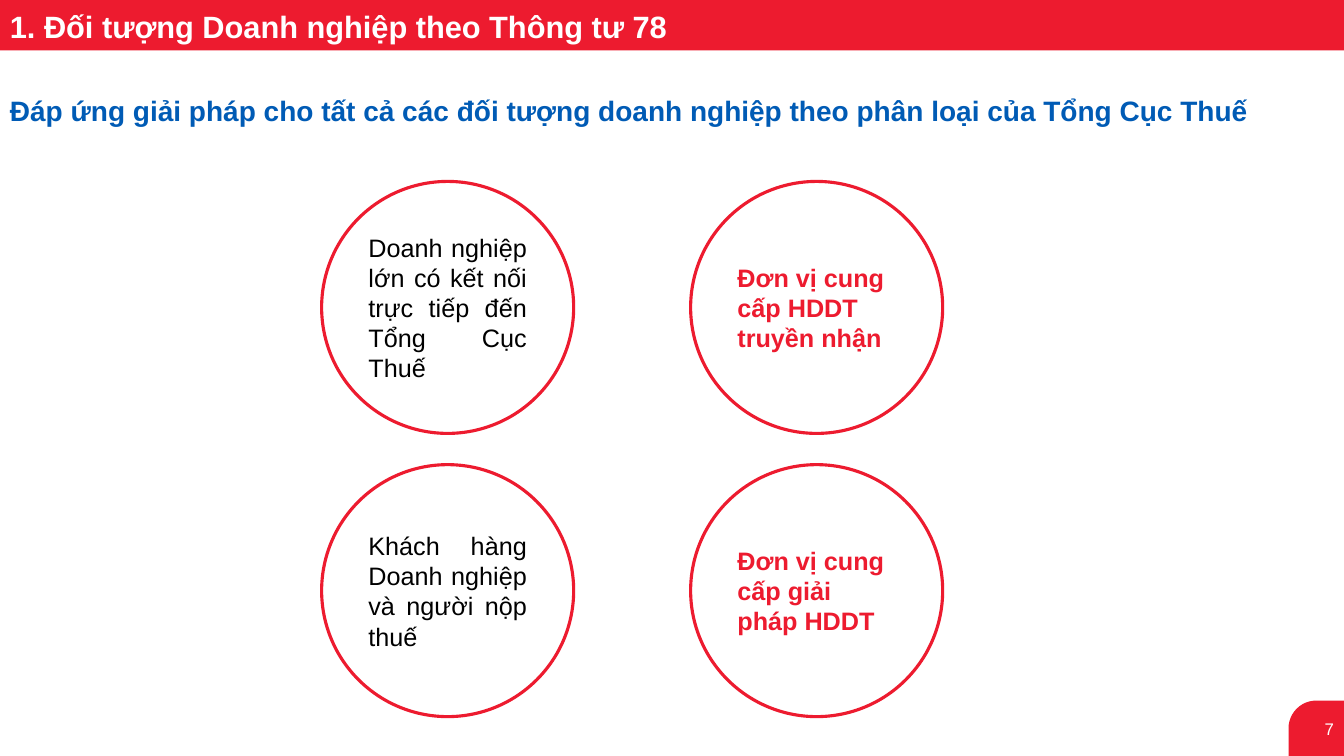
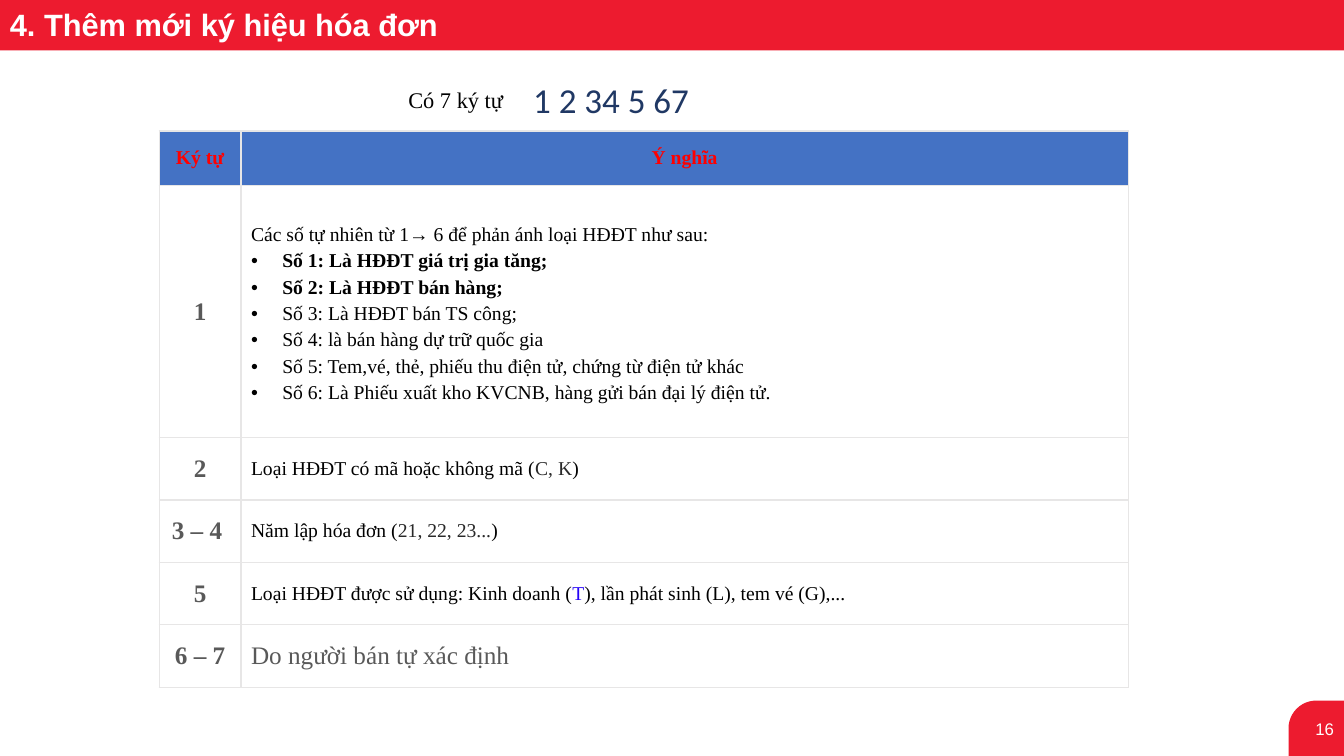
import pptx
import pptx.util
import pptx.dml.color
import pptx.enum.shapes
import pptx.enum.text
import lxml.etree

# Content
PAGES = [
    {"title": "1. Đối tượng Doanh nghiệp theo Thông tư 78", "top": 3, "page": "7"},
    {"title": "4. Thêm mới ký hiệu hóa đơn", "top": 1, "page": "16"},
]
LEAD = "Đáp ứng giải pháp cho tất cả các đối tượng doanh nghiệp theo phân loại của Tổng Cục Thuế"
GROUPS = [  # rows of circles: customers left, providers right
    ("Doanh nghiệp lớn có kết nối trực tiếp đến Tổng Cục Thuế",
     "Đơn vị cung cấp HDDT truyền nhận"),
    ("Khách hàng Doanh nghiệp và người nộp thuế",
     "Đơn vị cung cấp giải pháp HDDT"),
]
COUNT, CODE = "Có 7 ký tự", "1 2 34 5 67"
HEADS = ("Ký tự", "Ý nghĩa")
INTRO = "Các số tự nhiên từ 1→ 6 để phản ánh loại HĐĐT như sau:"
KINDS = [  # text, bold
    ("Số 1: Là HĐĐT giá trị gia tăng;", True),
    ("Số 2: Là HĐĐT bán hàng;", True),
    ("Số 3: Là HĐĐT bán TS công;", False),
    ("Số 4: là bán hàng dự trữ quốc gia", False),
    ("Số 5: Tem,vé, thẻ, phiếu thu điện tử, chứng từ điện tử khác", False),
    ("Số 6: Là Phiếu xuất kho KVCNB, hàng gửi bán đại lý điện tử.", False),
]
RED, BLUE, WHITE, BLACK = "ED1B2F", "005BB5", "FFFFFF", "000000"
GRAY, DARK, HEAD, EDGE = "595959", "292929", "4472C4", "E7E6E6"
SERIF = "Times New Roman"
RULES = [  # key, runs of (text, colour), size
    ("2", [("Loại HĐĐT có mã hoặc không mã (", BLACK), ("C, K", DARK), (")", BLACK)], 14),
    ("3 – 4 ", [("Năm lập hóa đơn (", BLACK), ("21, 22, 23...", DARK), (")", BLACK)], 14),
    ("5", [("Loại HĐĐT được sử dụng: Kinh doanh (", BLACK), ("T", "2603F7"),
           ("), lần phát sinh (L), tem vé (G),...", BLACK)], 14),
    ("6 – 7", [("Do người bán tự xác định", GRAY)], 18),
]

# Helpers
Shape = pptx.enum.shapes.MSO_SHAPE
Align = pptx.enum.text.PP_ALIGN
MIDDLE = pptx.enum.text.MSO_ANCHOR.MIDDLE
SCALE = 9144  # EMU in one px, 100 px to the inch
WIDE, HIGH = 1333, 750


def px(*vals):
    return [pptx.util.Emu(v * SCALE) for v in vals]


def paint(hue):
    return pptx.dml.color.RGBColor.from_string(hue)


def style(para, size, hue, bold=False, face="Arial", align=Align.LEFT):
    para.alignment = align
    font = para.font
    font.size, font.bold, font.name = pptx.util.Pt(size), bold, face
    font.color.rgb = paint(hue)


def write(frame, text, *args, **opts):
    frame.word_wrap = True
    para = frame.paragraphs[0]
    para.text = text
    style(para, *args, **opts)


def label(slide, box, text, *args, inset=5, **opts):
    frame = slide.shapes.add_textbox(*px(*box)).text_frame
    frame.margin_top, frame.margin_bottom = px(inset, inset)
    write(frame, text, *args, **opts)
    return frame


def draw(slide, kind, box, fill, line=None):
    shape = slide.shapes.add_shape(kind, *px(*box))
    shape.shadow.inherit = False
    shape.fill.solid()
    shape.fill.fore_color.rgb = paint(fill)
    if line:
        shape.line.color.rgb = paint(line)
        shape.line.width = pptx.util.Pt(2.25)
    else:
        shape.line.fill.background()
    shape.text_frame.vertical_anchor = MIDDLE
    return shape


def child(node, tag, **attrs):
    return lxml.etree.SubElement(node, pptx.oxml.ns.qn(tag), **attrs)


def bullet(para):
    left = px(31)[0]
    props = para._p.get_or_add_pPr()
    props.set("marL", str(left))
    props.set("indent", str(-left))
    child(props, "a:buFont", typeface="Arial")
    child(props, "a:buChar", char="•")


def dress(cell, fill):
    props = cell._tc.get_or_add_tcPr()
    for side in ("a:lnL", "a:lnR", "a:lnT", "a:lnB"):
        line = child(props, side, w=str(pptx.util.Pt(1)))
        child(child(line, "a:solidFill"), "a:srgbClr", val=EDGE)
    cell.fill.solid()
    cell.fill.fore_color.rgb = paint(fill)
    cell.vertical_anchor = MIDDLE
    cell.margin_left, cell.margin_right, cell.margin_top, cell.margin_bottom = px(10, 10, 10, 10)


def start(deck, title, top, page):
    """Add a slide with the shared page tab, band and title."""
    slide = deck.slides.add_slide(deck.slide_layouts[6])
    side = 55
    tab = draw(slide, Shape.ROUND_1_RECTANGLE, (WIDE - side, HIGH - side, side, side), RED)
    tab.adjustments[0] = 0.5
    tab.element.spPr.xfrm.set("flipH", "1")
    write(tab.text_frame, page, 12, WHITE, align=Align.RIGHT)
    draw(slide, Shape.RECTANGLE, (0, 0, WIDE, 50), RED)
    label(slide, (0, top, 1233, 47), title, 22, WHITE, bold=True)
    return slide


# Slide bodies
def groups(slide):
    label(slide, (0, 88, 1280, 44), LEAD, 20, BLUE, bold=True)
    size, left, top, across, down = 250, 319, 180, 366, 281
    for row, pair in enumerate(GROUPS):
        for col, text in enumerate(pair):
            box = (left + col * across, top + row * down, size, size)
            disc = draw(slide, Shape.OVAL, box, WHITE, RED)
            write(disc.text_frame, text, 18, RED if col else BLACK, bold=bool(col),
                  align=Align.LEFT if col else Align.JUSTIFY)


def symbols(slide):
    cols, rows = (81, 880), (54, 250, 62, 62, 62, 62)
    grid = slide.shapes.add_table(len(rows), len(cols),
                                  *px(158, 130, sum(cols), sum(rows))).table
    grid.first_row = grid.horz_banding = False
    for col, wide in zip(grid.columns, px(*cols)):
        col.width = wide
    for row, high in zip(grid.rows, px(*rows)):
        row.height = high
    for num in range(len(rows)):
        for col in range(len(cols)):
            dress(grid.cell(num, col), WHITE if num else HEAD)

    for col, text in enumerate(HEADS):
        write(grid.cell(0, col).text_frame, text, 14, "FF0000", bold=True,
              face=SERIF, align=Align.CENTER)
    for num, key in enumerate(["1"] + [rule[0] for rule in RULES], 1):
        write(grid.cell(num, 0).text_frame, key, 18, GRAY, bold=True,
              face=SERIF, align=Align.CENTER)

    # First meaning: intro and bullets
    frame = grid.cell(1, 1).text_frame
    write(frame, INTRO, 14, BLACK, face=SERIF)
    for text, bold in KINDS:
        para = frame.add_paragraph()
        para.text = text
        bullet(para)
        style(para, 14, BLACK, bold=bold, face=SERIF)
    for para in frame.paragraphs:
        para.line_spacing = pptx.util.Pt(18.8)

    # Other meanings: coloured runs
    for num, (key, runs, size) in enumerate(RULES, 2):
        para = grid.cell(num, 1).text_frame.paragraphs[0]
        style(para, size, BLACK, face=SERIF)
        for text, hue in runs:
            run = para.add_run()
            run.text = text
            run.font.color.rgb = paint(hue)

    for box, text, size, hue, face in (
            ((188, 80, 528, 37), COUNT, 16, BLACK, SERIF),
            ((424, 68, 364, 62), CODE, 25, "203864", "Calibri")):
        frame = label(slide, box, text, size, hue, inset=10, face=face, align=Align.CENTER)
        frame.vertical_anchor = MIDDLE


def main():
    deck = pptx.Presentation()
    deck.slide_width, deck.slide_height = px(WIDE, HIGH)
    for page, body in zip(PAGES, (groups, symbols)):
        body(start(deck, **page))
    deck.save("out.pptx")


if __name__ == "__main__":
    main()
